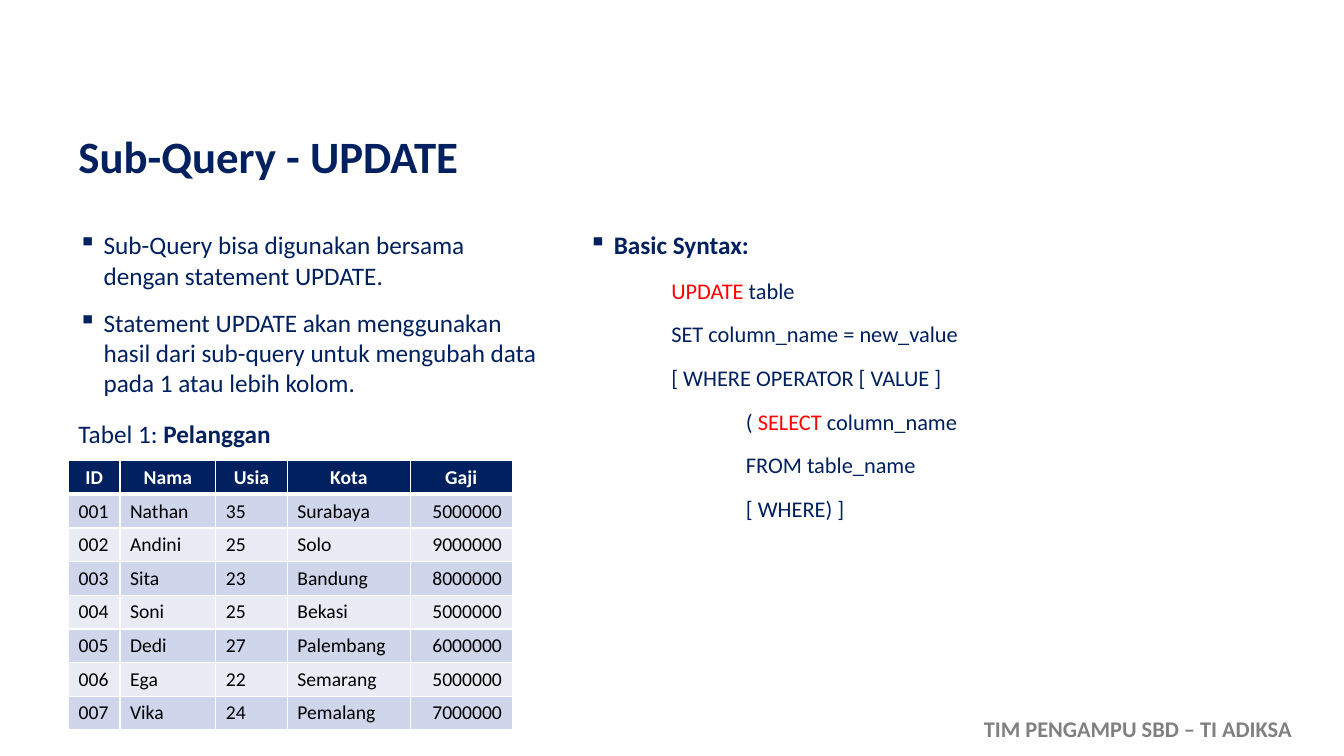
from lxml import etree
from pptx import Presentation
from pptx.dml.color import RGBColor
from pptx.enum.text import MSO_ANCHOR, MSO_AUTO_SIZE, PP_ALIGN
from pptx.oxml.ns import qn
from pptx.util import Inches, Pt

MIDDLE = MSO_ANCHOR.MIDDLE
TOP = MSO_ANCHOR.TOP
FIT_SHAPE = MSO_AUTO_SIZE.SHAPE_TO_FIT_TEXT
FIXED = MSO_AUTO_SIZE.NONE
LEFT, CENTER, RIGHT = PP_ALIGN.LEFT, PP_ALIGN.CENTER, PP_ALIGN.RIGHT

FONT = "Calibri"
NAVY, RED, GRAY, WHITE, BLACK = "002060", "FF0000", "808080", "FFFFFF", "000000"
BANDS = ("CFD5EA", "E9EBF5")

BODY = {"size": 18, "color": NAVY}
CODE = {"size": 16, "color": NAVY}
KEYWORD = {"size": 16, "color": RED}
BULLET = {"indent": 0.25, "before": 12, "bullet": "▪"}
CLAUSE = {"indent": 0.82, "before": 12}
SUBCLAUSE = {"indent": 1.56, "before": 12}

EXPLANATION = [
    "Sub-Query bisa digunakan bersama dengan statement UPDATE.",
    "Statement UPDATE akan menggunakan hasil dari sub-query untuk mengubah data pada 1 atau lebih kolom.",
]
SYNTAX = [
    (BULLET, [("Basic Syntax:", {**BODY, "bold": True})]),
    (CLAUSE, [("UPDATE ", KEYWORD), ("table", CODE)]),
    (CLAUSE, [("SET column_name = new_value", CODE)]),
    (CLAUSE, [("[ WHERE OPERATOR [ VALUE ]", CODE)]),
    (SUBCLAUSE, [("( ", CODE), ("SELECT ", KEYWORD), ("column_name", CODE)]),
    (SUBCLAUSE, [("FROM table_name", CODE)]),
    (SUBCLAUSE, [("[ WHERE) ]", CODE)]),
]
COLUMN_WIDTHS = [0.51, 0.95, 0.71, 1.22, 1.01]
ROW_HEIGHT = 0.33
CUSTOMERS = [
    ("ID", "Nama", "Usia", "Kota", "Gaji"),
    ("001", "Nathan", "35", "Surabaya", "5000000"),
    ("002", "Andini", "25", "Solo", "9000000"),
    ("003", "Sita", "23", "Bandung", "8000000"),
    ("004", "Soni", "25", "Bekasi", "5000000"),
    ("005", "Dedi", "27", "Palembang", "6000000"),
    ("006", "Ega", "22", "Semarang", "5000000"),
    ("007", "Vika", "24", "Pemalang", "7000000"),
]


def rgb(color):
    return RGBColor.from_string(color)


def add_run(paragraph, text, size, color, bold=False):
    run = paragraph.add_run()
    run.text = text
    font_format = {"name": FONT, "size": Pt(size), "bold": bold}
    for attribute, value in font_format.items():
        setattr(run.font, attribute, value)
    run.font.color.rgb = rgb(color)


def format_paragraph(paragraph, indent=0, before=0, bullet=None, spacing=1.0):
    paragraph_format = {"space_before": Pt(before), "line_spacing": spacing, "alignment": LEFT}
    for attribute, value in paragraph_format.items():
        setattr(paragraph, attribute, value)
    properties = paragraph._p.get_or_add_pPr()
    properties.set("marL", str(Inches(indent)))
    properties.set("indent", str(Inches(-indent if bullet else 0)))
    if bullet:
        etree.SubElement(properties, qn("a:buChar")).set("char", bullet)


def add_text(slide, place, paragraphs, wrap=True, anchor=TOP):
    frame = slide.shapes.add_textbox(*map(Inches, place)).text_frame
    frame_format = {
        "word_wrap": wrap,
        "auto_size": FIXED if wrap else FIT_SHAPE,
        "vertical_anchor": anchor,
    }
    for attribute, value in frame_format.items():
        setattr(frame, attribute, value)
    for index, (layout, runs) in enumerate(paragraphs):
        paragraph = frame.add_paragraph() if index else frame.paragraphs[0]
        format_paragraph(paragraph, **layout)
        for text, style in runs:
            add_run(paragraph, text, **style)


def add_borders(cell, top, bottom):
    properties = cell._tc.get_or_add_tcPr()
    for side, width in {"L": 1, "R": 1, "T": top, "B": bottom}.items():
        line = etree.SubElement(properties, qn(f"a:ln{side}"), w=str(Pt(width)))
        fill = etree.SubElement(line, qn("a:solidFill"))
        etree.SubElement(fill, qn("a:srgbClr"), val=WHITE)


def fill_cell(cell, text, row, is_salary):
    header = row == 0
    add_borders(cell, top=3 if row == 1 else 1, bottom=3 if header else 1)
    cell.fill.solid()
    cell.fill.fore_color.rgb = rgb(NAVY if header else BANDS[(row - 1) % 2])
    paragraph = cell.text_frame.paragraphs[0]
    paragraph.alignment = CENTER if header else RIGHT if is_salary else LEFT
    add_run(paragraph, text, 14, WHITE if header else BLACK, header)


def add_customer_table(slide, left, top):
    width, height = sum(COLUMN_WIDTHS), ROW_HEIGHT * len(CUSTOMERS)
    place = map(Inches, (left, top, width, height))
    table = slide.shapes.add_table(len(CUSTOMERS), len(COLUMN_WIDTHS), *place).table
    for column, column_width in zip(table.columns, COLUMN_WIDTHS):
        column.width = Inches(column_width)
    for row, customer in enumerate(CUSTOMERS):
        table.rows[row].height = Inches(ROW_HEIGHT)
        for column, text in enumerate(customer):
            is_salary = column == len(customer) - 1
            fill_cell(table.cell(row, column), text, row, is_salary)


def main():
    deck = Presentation()
    deck.slide_width, deck.slide_height = Inches(13.33), Inches(7.5)
    slide = deck.slides.add_slide(deck.slide_layouts[6])

    credit = [("TIM PENGAMPU SBD – TI ADIKSA", {"size": 16, "color": GRAY, "bold": True})]
    add_text(slide, (9.66, 7.05, 3.35, 0.37), [({}, credit)], wrap=False)
    title = [("Sub-Query - UPDATE", {"size": 32, "color": NAVY, "bold": True})]
    add_text(slide, (0.68, 1.13, 11.67, 0.89), [({"spacing": 0.9}, title)], anchor=MIDDLE)
    explanation = [(BULLET, [(text, BODY)]) for text in EXPLANATION]
    add_text(slide, (0.68, 2.23, 4.74, 2.2), explanation)
    add_customer_table(slide, 0.68, 4.57)
    caption = [("Tabel 1: ", BODY), ("Pelanggan", {**BODY, "bold": True})]
    add_text(slide, (0.68, 4.1, 2.13, 0.4), [({}, caption)], wrap=False)
    add_text(slide, (5.74, 2.23, 7.09, 5.27), SYNTAX)

    deck.save("out.pptx")


if __name__ == "__main__":
    main()
